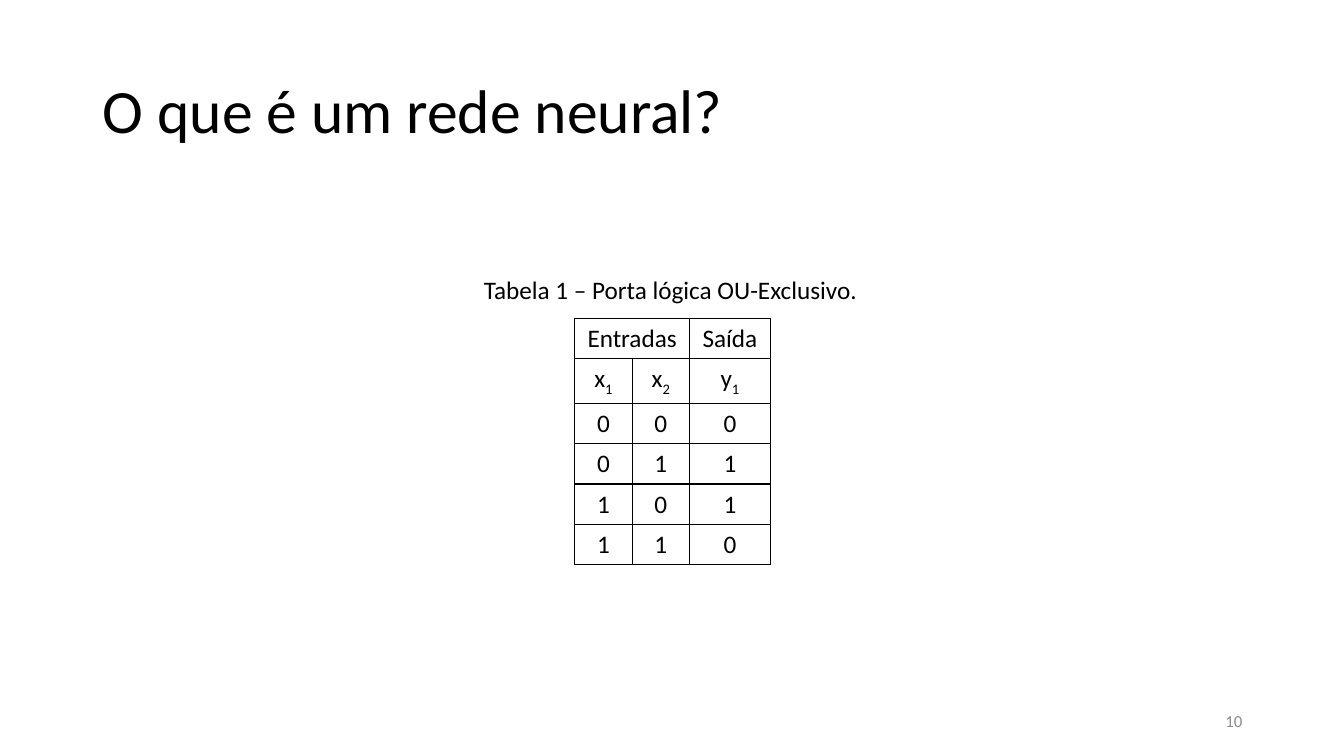
import pptx
import pptx.util
import pptx.dml.color
import pptx.enum.text
import pptx.oxml
import pptx.oxml.ns
from dataclasses import dataclass

Inches = pptx.util.Inches
Align = pptx.enum.text.PP_ALIGN
Anchor = pptx.enum.text.MSO_ANCHOR


@dataclass(frozen=True)
class Theme:
    """Colours, font and type sizes of the slide."""
    font: str = "Calibri"
    ink: str = "000000"
    grey: str = "8C8C8C"
    title: int = 44
    body: int = 18
    small: int = 12
    rule: int = 1


def write(frame, text, theme, size, color=None, align=Align.LEFT, space=1.0):
    """Write text in a frame; the part after an underscore is a subscript."""
    para = frame.paragraphs[0]
    para.alignment = align
    para.line_spacing = space
    for i, part in enumerate(text.split("_")):
        run = para.add_run()
        run.text = part
        run.font.name = theme.font
        run.font.size = pptx.util.Pt(size)
        run.font.color.rgb = pptx.dml.color.RGBColor.from_string(color or theme.ink)
        if i:
            run._r.get_or_add_rPr().set("baseline", "-25000")


class Page:
    """Hold the theme and the current slide."""

    def __init__(self, deck, theme):
        """Add a blank slide to the deck."""
        self.theme = theme
        self.slide = deck.slides.add_slide(deck.slide_layouts[6])

    def label(self, text, left, top, width, height, size, wrap=True,
              anchor=Anchor.MIDDLE, **style):
        """Add a text box."""
        box = self.slide.shapes.add_textbox(*map(Inches, (left, top, width, height)))
        frame = box.text_frame
        frame.word_wrap = wrap
        frame.vertical_anchor = anchor
        write(frame, text, self.theme, size, **style)

    def border(self, cell):
        """Draw a line on each side of a cell."""
        props = cell._tc.get_or_add_tcPr()
        space = pptx.oxml.ns.nsdecls("a")
        for i, side in enumerate(("lnL", "lnR", "lnT", "lnB")):
            props.insert(i, pptx.oxml.parse_xml(
                f'<a:{side} {space} w="{pptx.util.Pt(self.theme.rule)}"><a:solidFill>'
                f'<a:srgbClr val="{self.theme.ink}"/></a:solidFill></a:{side}>'))

    def table(self, rows, left, top, widths, height):
        """Add a ruled table; None joins a cell to the one on its left."""
        shape = self.slide.shapes.add_table(
            len(rows), len(widths), Inches(left), Inches(top),
            Inches(sum(widths)), Inches(height * len(rows)))
        grid = shape.table
        grid.first_row = grid.horz_banding = False
        for col, width in zip(grid.columns, widths):
            col.width = Inches(width)
        for r, row in enumerate(rows):
            grid.rows[r].height = Inches(height)
            for c, text in enumerate(row):
                cell = grid.cell(r, c)
                cell.fill.background()
                self.border(cell)
                if text is None:
                    grid.cell(r, c - 1).merge(cell)
                else:
                    write(cell.text_frame, text, self.theme, self.theme.body,
                          align=Align.CENTER)


def main():
    """Build the slide and save it."""
    deck = pptx.Presentation()
    deck.slide_width = Inches(13.33)
    deck.slide_height = Inches(7.5)
    theme = Theme()
    page = Page(deck, theme)
    page.label("O que é um rede neural?", 0.92, 0.4, 11.5, 1.45, theme.title, space=0.9)
    pairs = [(a, b) for a in (0, 1) for b in (0, 1)]
    rows = [("Entradas", None, "Saída"), ("x_1", "x_2", "y_1")]
    rows += [(str(a), str(b), str(a ^ b)) for a, b in pairs]
    page.table(rows, 5.7, 3.16, (0.57, 0.57, 0.8), 0.4)
    page.label("Tabela 1 – Porta lógica OU-Exclusivo.", 4.7, 2.67, 3.94, 0.4,
               theme.body, wrap=False, anchor=Anchor.TOP)
    page.label("10", 9.42, 6.95, 3, 0.4, theme.small, color=theme.grey,
               align=Align.RIGHT)
    deck.save("out.pptx")


if __name__ == "__main__":
    main()
